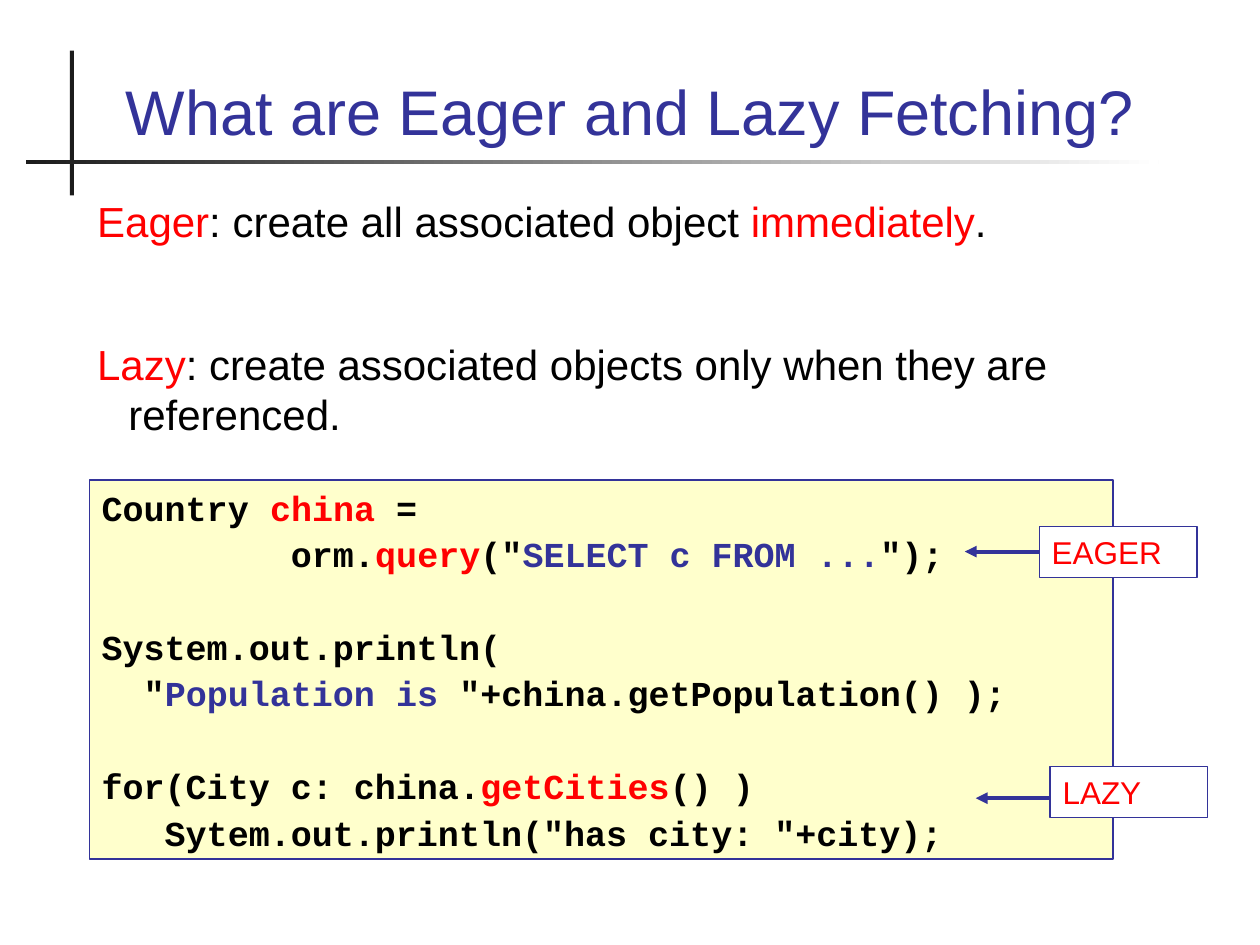
from lxml import etree
from pptx import Presentation
from pptx.dml.color import RGBColor
from pptx.enum.shapes import MSO_CONNECTOR, MSO_SHAPE
from pptx.enum.text import MSO_ANCHOR, MSO_AUTO_SIZE, PP_ALIGN
from pptx.oxml.ns import qn
from pptx.util import Cm, Pt

RECT = MSO_SHAPE.RECTANGLE
LINE = MSO_CONNECTOR.STRAIGHT
TOP, BOTTOM = MSO_ANCHOR.TOP, MSO_ANCHOR.BOTTOM
LEFT, CENTER = PP_ALIGN.LEFT, PP_ALIGN.CENTER
FIXED = MSO_AUTO_SIZE.NONE

BLUE = RGBColor(0x33, 0x33, 0x99)
RED = RGBColor(0xFF, 0x00, 0x00)
BLACK = RGBColor(0x00, 0x00, 0x00)
WHITE = RGBColor(0xFF, 0xFF, 0xFF)
CREAM = RGBColor(0xFF, 0xFF, 0xCC)
DARK = RGBColor(0x1C, 0x1C, 0x1C)

HEAD = {"name": "Arial", "size": Pt(36), "bold": False}
BODY = {"name": "Arial", "size": Pt(24), "bold": False}
CODE = {"name": "Courier New", "size": Pt(20), "bold": True}
NOTE = {"name": "Arial", "size": Pt(18), "bold": False}


def write(frame, lines, look, form, anchor=TOP):
    """Fill a frame with lines of (space before, runs)."""
    frame.word_wrap = True
    frame.auto_size = FIXED
    frame.vertical_anchor = anchor
    for i, (gap, runs) in enumerate(lines):
        par = frame.paragraphs[0] if i == 0 else frame.add_paragraph()
        for key, value in {"space_before": Pt(gap), **form}.items():
            setattr(par, key, value)
        for text, color in runs:
            run = par.add_run()
            run.text = text
            run.font.color.rgb = color
            for key, value in look.items():
                setattr(run.font, key, value)


def block(left, top, width, height, fill):
    """Add a plain box with a thin blue edge."""
    box = slide.shapes.add_shape(RECT, Cm(left), Cm(top), Cm(width), Cm(height))
    box.shadow.inherit = False
    box.fill.solid()
    box.fill.fore_color.rgb = fill
    box.line.color.rgb = BLUE
    box.line.width = Pt(0.75)
    return box


deck = Presentation()
deck.slide_width, deck.slide_height = Cm(25.4), Cm(19.05)
slide = deck.slides.add_slide(deck.slide_layouts[5])

# Crossed rules beside the title
post = block(1.41, 1.02, 0.08, 2.92, DARK)
post.line.fill.background()
rule = block(0.53, 3.23, 22.83, 0.08, DARK)
rule.line.fill.background()
rule.fill.gradient()
rule.fill.gradient_angle = 0
for stop, color in zip(rule.fill.gradient_stops, (DARK, WHITE)):
    stop.color.rgb = color

# Title
title = slide.shapes.title
title.left, title.top, title.width, title.height = Cm(1.7), Cm(0.71), Cm(22), Cm(2.41)
write(title.text_frame, [(0, [("What are Eager and Lazy Fetching?", BLUE)])],
      HEAD, {"alignment": CENTER}, BOTTOM)

# Definitions, with a hanging indent
body = slide.shapes.add_textbox(Cm(1.7), Cm(3.81), Cm(22), Cm(12.4))
terms = [
    (0, [("Eager", RED), (": create all associated object ", BLACK),
         ("immediately", RED), (".", BLACK)]),
    (53, [("Lazy", RED),
          (": create associated objects only when they are referenced.", BLACK)]),
]
write(body.text_frame, terms, BODY, {"alignment": LEFT})
for par in body.text_frame.paragraphs:
    props = par._p.get_or_add_pPr()
    props.set("marL", str(Cm(0.64)))
    props.set("indent", str(Cm(-0.63)))

# Code sample
STEP, SKIP = 2.5, 29
code = [
    (0, [("Country ", BLACK), ("china", RED), (" =", BLACK)]),
    (STEP, [("         orm.", BLACK), ("query", RED), ("(\"", BLACK),
            ("SELECT c FROM ...", BLUE), ("\");", BLACK)]),
    (SKIP, [("System.out.println(", BLACK)]),
    (STEP, [("  \"", BLACK), ("Population is ", BLUE),
            ("\"+china.getPopulation() );", BLACK)]),
    (SKIP, [("for(City c: china.", BLACK), ("getCities", RED), ("() )", BLACK)]),
    (STEP, [("   Sytem.out.println(\"has city: \"+city);", BLACK)]),
]
panel = block(1.8, 9.68, 20.64, 7.64, CREAM)
write(panel.text_frame, code, CODE, {"alignment": LEFT})

# Labels with arrows to the code
for text, left, top, mid in (("EAGER", 20.95, 10.62, 11.12), ("LAZY", 21.17, 15.45, 16.09)):
    label = block(left, top, 3.18, 1.03, WHITE)
    write(label.text_frame, [(0, [(text, RED)])], NOTE, {"alignment": LEFT})
    arrow = slide.shapes.add_connector(LINE, Cm(left), Cm(mid), Cm(left - 1.5), Cm(mid))
    arrow.line.color.rgb = BLUE
    arrow.line.width = Pt(2.25)
    etree.SubElement(arrow.line._get_or_add_ln(), qn("a:tailEnd"), type="triangle")
    etree.SubElement(arrow._element.spPr, qn("a:effectLst"))

deck.save("out.pptx")
